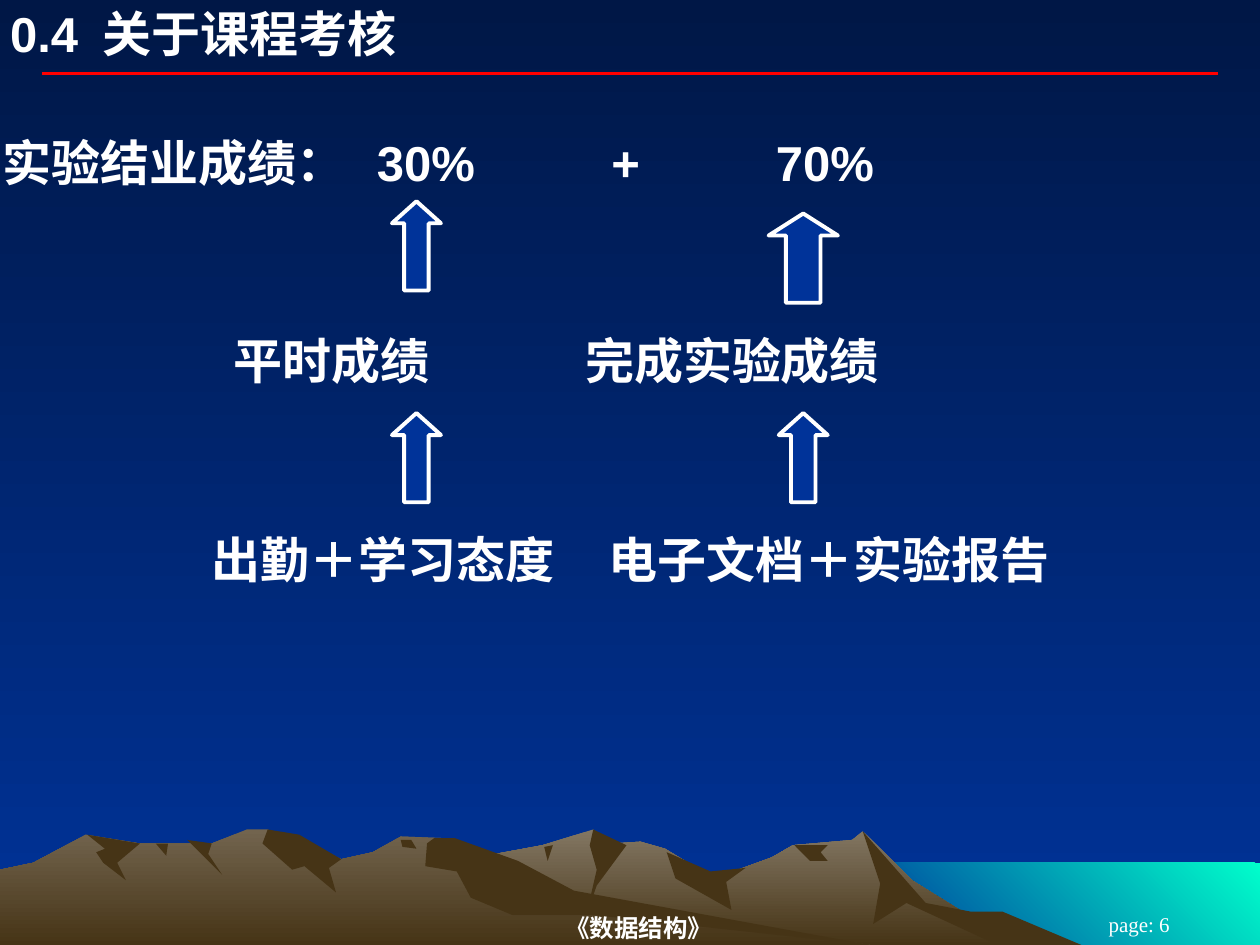
"""Build the course assessment slide with its mountain landscape."""
import pptx
import pptx.dml.color
import pptx.enum.shapes
import pptx.enum.text
import pptx.oxml
import pptx.oxml.ns
import pptx.util

Pt = pptx.util.Pt
ALIGN = pptx.enum.text.PP_ALIGN
ANCHOR = pptx.enum.text.MSO_ANCHOR

THEME = {
    "text": "FFFFFF", "arrow": "003399", "rule": "FF0000", "shade": "463416",
    "sky": ("001746", "003399", 270), "sea": ("00FFCC", "003399", 225),
    "far": ("837763", "463416", 270), "near": ("72644E", "463416", 270),
    "sans": "Arial", "serif": "Times New Roman",
    "heading": 28, "course": 14, "page": 12, "line": 2.25,
}

WIDTH, HEIGHT = 720, 540
HEADING = ("0.4", "关于课程考核")
HEADING_TABS = (53,)
SCORE_ROWS = [
    (75, ("实验结业成绩：", "30%", "+", "70%"), (214, 348, 442)),
    (188, ("", "平时成绩", "完成实验成绩"), (132, 333)),
    (302, ("", "出勤＋学习态度", "电子文档＋实验报告"), (119.5, 346.5)),
]
COURSE = "《数据结构》"
PAGE = "page: 6"

ARROW_WIDTH, ARROW_HEIGHT, ARROW_HEAD = 28, 51, 12.6
ARROW_CENTERS = (238, 459)
LOWER_ARROW_TOP = 236
UPPER_ARROWS = [(115, ARROW_WIDTH), (122, 39.6)]

SEA_TOP, SEA_LEFT = 493, 492
FAR_RIDGE = [
    (186, HEIGHT), (256, 493), (310, 483), (339, 474), (350, 482), (366, 481),
    (380, 485), (408, 502), (441, 490), (453, 483), (487, 480), (493, 475),
    (521, 503), (550, 521), (591, HEIGHT)]
NEAR_RIDGE = [
    (0, HEIGHT), (0, 497), (19, 493), (49, 477), (80, 482), (121, 482),
    (141, 474), (153, 474), (195, 491), (213, 487), (229, 478), (255, 479),
    (311, 513), (497, HEIGHT)]
FAR_SHADES = [
    [(493, 475), (529, 516), (555, 521), (573, 521), (618, HEIGHT), (570, HEIGHT),
     (518, 516), (499, 528), (503, 505)],
    [(339, 474), (358, 483), (341, 506), (335, 523), (341, 497), (337, 483)],
    [(381, 487), (406, 498), (426, 496), (415, 504), (418, 520), (386, 502)],
    [(454, 483), (473, 483), (469, 487), (473, 492), (463, 492)],
    [(311, 484), (316, 483), (313, 492)],
]
NEAR_SHADES = [
    [(153, 474), (171, 477), (195, 491), (188, 496), (192, 510), (174, 495),
     (167, 497), (150, 482)],
    [(248, 479), (260, 479), (296, 492), (328, 509), (497, HEIGHT), (340, 523),
     (293, 523), (269, 513), (261, 498), (243, 495), (244, 482)],
    [(107, 480), (121, 482), (119, 488), (127, 500)],
    [(89, 482), (96, 482), (95, 489)],
    [(50, 477), (80, 482), (67, 493), (72, 503), (59, 493), (55, 487), (60, 485)],
    [(229, 480), (235, 480), (238, 485), (230, 484)],
]
LANDSCAPE = [
    ("sea", [[(WIDTH, HEIGHT), (SEA_LEFT, HEIGHT), (SEA_LEFT, SEA_TOP), (WIDTH, SEA_TOP)]]),
    ("far", [FAR_RIDGE]),
    ("shade", FAR_SHADES),
    ("near", [NEAR_RIDGE]),
    ("shade", NEAR_SHADES),
]


def rgb(name):
    return pptx.dml.color.RGBColor.from_string(THEME.get(name, name))


def paint(fill, name):
    if isinstance(THEME[name], str):
        fill.solid()
        fill.fore_color.rgb = rgb(name)
        return
    *colours, angle = THEME[name]
    fill.gradient()
    fill.gradient_angle = angle
    for stop, colour, position in zip(fill.gradient_stops, colours, (0, 1)):
        stop.color.rgb = rgb(colour)
        stop.position = position


def write(shape, box, parts, size, font, tabs=(), bold=True, align=ALIGN.LEFT,
          anchor=ANCHOR.TOP, insets=(0, 0)):
    shape.left, shape.top, shape.width, shape.height = map(Pt, box)
    frame = shape.text_frame
    frame.text = "\t".join(parts)
    frame.word_wrap = True
    frame.auto_size = pptx.enum.text.MSO_AUTO_SIZE.NONE
    frame.vertical_anchor = anchor
    frame.margin_left = frame.margin_right = Pt(insets[0])
    frame.margin_top = frame.margin_bottom = Pt(insets[1])
    paragraph = frame.paragraphs[0]
    paragraph.alignment = align
    if tabs:
        stops = "".join(f'<a:tab pos="{Pt(tab)}" algn="l"/>' for tab in tabs)
        paragraph._p.get_or_add_pPr().append(pptx.oxml.parse_xml(
            f'<a:tabLst {pptx.oxml.ns.nsdecls("a")}>{stops}</a:tabLst>'))
    for run in paragraph.runs:
        run.font.size = Pt(THEME[size])
        run.font.name = THEME[font]
        run.font.bold = bold
        run.font.color.rgb = rgb("text")


def add_landscape(slide):
    for colour, outlines in LANDSCAPE:
        for start, *rest in outlines:
            builder = slide.shapes.build_freeform(*start, scale=Pt(1))
            builder.add_line_segments(rest, close=True)
            terrain = builder.convert_to_shape()
            terrain.shadow.inherit = False
            paint(terrain.fill, colour)
            terrain.line.fill.background()


def add_rule(slide):
    rule = slide.shapes.add_connector(
        pptx.enum.shapes.MSO_CONNECTOR.STRAIGHT, Pt(24), Pt(42), Pt(WIDTH - 24), Pt(42))
    rule.line.color.rgb = rgb("rule")
    rule.line.width = Pt(THEME["line"])
    rule._element.spPr.append(pptx.oxml.parse_xml(
        f'<a:effectLst {pptx.oxml.ns.nsdecls("a")}/>'))


def add_arrow(slide, center, top, width):
    arrow = slide.shapes.add_shape(
        pptx.enum.shapes.MSO_SHAPE.UP_ARROW,
        Pt(center - width / 2), Pt(top), Pt(width), Pt(ARROW_HEIGHT))
    arrow.adjustments[0] = 0.5
    arrow.adjustments[1] = ARROW_HEAD / width
    arrow.shadow.inherit = False
    paint(arrow.fill, "arrow")
    arrow.line.color.rgb = rgb("text")
    arrow.line.width = Pt(THEME["line"])


def main():
    deck = pptx.Presentation()
    deck.slide_width, deck.slide_height = Pt(WIDTH), Pt(HEIGHT)
    slide = deck.slides.add_slide(deck.slide_layouts[5])
    paint(slide.background.fill, "sky")
    add_landscape(slide)
    add_rule(slide)

    def new_box():
        return slide.shapes.add_textbox(0, 0, 0, 0)

    write(slide.shapes.title, (5.76, 2.16, 468, 34), HEADING, "heading", "sans", HEADING_TABS)
    write(new_box(), (147, 520, 436, 20), (COURSE,), "course", "serif",
          align=ALIGN.CENTER, anchor=ANCHOR.MIDDLE)
    write(new_box(), (594, 522, 114, 12), (PAGE,), "page", "serif", bold=False,
          align=ALIGN.CENTER, anchor=ANCHOR.MIDDLE, insets=(7.2, 3.6))
    for top, parts, tabs in SCORE_ROWS:
        write(new_box(), (0, top, WIDTH, 35), parts, "heading", "sans", tabs,
              insets=(1.44, 0.72))
    for center, (top, width) in zip(ARROW_CENTERS, UPPER_ARROWS):
        add_arrow(slide, center, top, width)
        add_arrow(slide, center, LOWER_ARROW_TOP, ARROW_WIDTH)
    deck.save("out.pptx")


if __name__ == "__main__":
    main()
